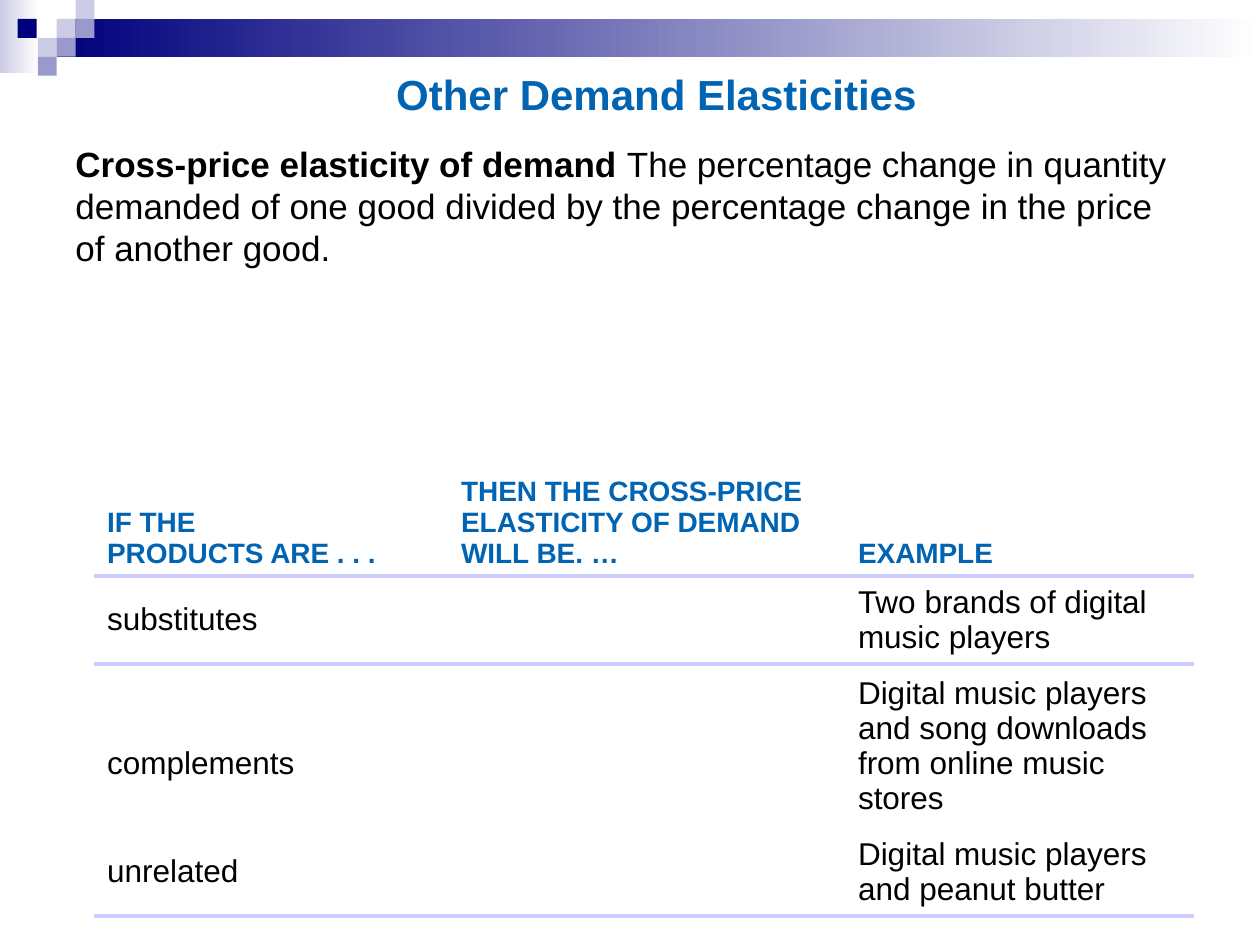
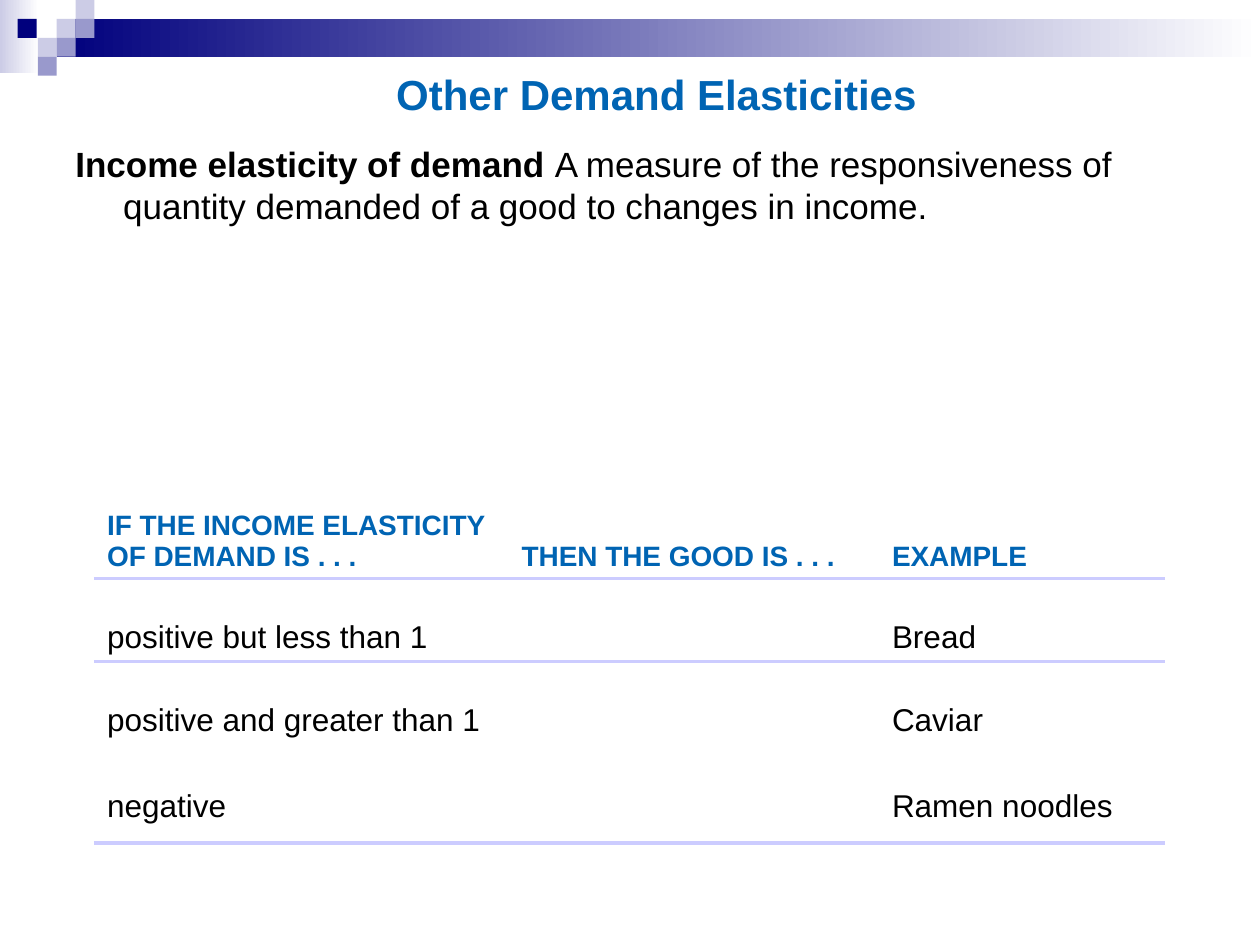
"""Build two slides on cross-price and income elasticity of demand."""
from pptx import Presentation
from pptx.dml.color import RGBColor
from pptx.enum.shapes import MSO_SHAPE as Shape
from pptx.enum.text import MSO_ANCHOR as Anchor, MSO_AUTO_SIZE as AutoSize, PP_ALIGN as Align
from pptx.oxml import parse_xml
from pptx.oxml.ns import nsdecls
from pptx.util import Inches, Pt

FONT = "Arial"
BLUE = RGBColor(0x00, 0x64, 0xB3)
BLACK = RGBColor(0x00, 0x00, 0x00)
WHITE = RGBColor(0xFF, 0xFF, 0xFF)
NAVY = RGBColor(0x00, 0x00, 0x7D)
LAVENDER = RGBColor(0xCC, 0xCC, 0xE6)
VIOLET = RGBColor(0x99, 0x99, 0xCC)
RULE = RGBColor(0xCC, 0xCC, 0xFF)

TILE = 0.15
TILES = [(0.45, 0.15, LAVENDER), (0.6, 0, LAVENDER), (0.6, 0.15, VIOLET),
         (0.3, 0.3, LAVENDER), (0.14, 0.15, NAVY), (0.45, 0.3, VIOLET),
         (0.3, 0.45, VIOLET)]


def write(para, text, size=18, color=BLACK, bold=False):
    """Add formatted text to a paragraph, with a line break at each newline."""
    for index, line in enumerate(text.split("\n")):
        if index:
            para.add_line_break()
        span = para.add_run()
        span.text = line
        span.font.name, span.font.size = FONT, Pt(size)
        span.font.color.rgb, span.font.bold = color, bold


def add_rect(slide, left, top, width, height, color, fade=False):
    """Add a borderless rectangle, plain or fading to white on the right."""
    rect = slide.shapes.add_shape(Shape.RECTANGLE, Inches(left), Inches(top),
                                  Inches(width), Inches(height))
    rect.shadow.inherit = False
    rect.line.fill.background()
    if fade:
        rect.fill.gradient()
        rect.fill.gradient_angle = 0
        for stop, shade, position in zip(rect.fill.gradient_stops, (color, WHITE), (0, 1)):
            stop.color.rgb, stop.position = shade, position
    else:
        rect.fill.solid()
        rect.fill.fore_color.rgb = color
    return rect


def add_band(slide):
    """Draw the top band and tiles and move them to the shared layout."""
    band = [add_rect(slide, 0, 0, 0.31, 0.58, LAVENDER, fade=True),
            add_rect(slide, 0.45, 0.15, 9.55, 0.3, NAVY, fade=True)]
    band += [add_rect(slide, left, top, TILE, TILE, color) for left, top, color in TILES]
    for rect in band:
        slide.slide_layout.shapes.element.append(rect.element)


def add_title(slide, text):
    """Place and fill the title."""
    title = slide.shapes.title
    title.left, title.top = Inches(1.33), Inches(0.33)
    title.width, title.height = Inches(7.76), Inches(0.83)
    frame = title.text_frame
    frame.auto_size = AutoSize.NONE
    frame.vertical_anchor = Anchor.MIDDLE
    frame.paragraphs[0].alignment = Align.CENTER
    write(frame.paragraphs[0], text, size=24, color=BLUE, bold=True)


def add_definition(slide, term, meaning, hanging=0):
    """Add a bold term followed by its meaning."""
    box = slide.shapes.add_textbox(Inches(0.5), Inches(1.08), Inches(9), Inches(5.83))
    box.text_frame.word_wrap = True
    para = box.text_frame.paragraphs[0]
    properties = para._p.get_or_add_pPr()
    properties.set("marL", str(Inches(hanging)))
    properties.set("indent", str(-Inches(hanging)))
    write(para, term + " ", size=20, bold=True)
    write(para, meaning, size=20)


def add_border(cell, side):
    """Draw a rule on the top (T) or bottom (B) side of a cell."""
    border = parse_xml(
        f'<a:ln{side} {nsdecls("a")} w="{Pt(2.25)}"><a:solidFill>'
        f'<a:srgbClr val="{RULE}"/></a:solidFill></a:ln{side}>')
    cell._tc.get_or_add_tcPr().insert(0, border)


def add_ruled_table(slide, top, widths, heights, rows, anchor):
    """Add a table ruled under its heading and last row, and return it."""
    frame = slide.shapes.add_table(len(rows), len(widths), Inches(0.75), Inches(top),
                                   Inches(sum(widths)), Inches(sum(heights)))
    table = frame.table
    table.first_row = table.horz_banding = False
    for column, width in zip(table.columns, widths):
        column.width = Inches(width)
    for number, (height, texts) in enumerate(zip(heights, rows)):
        table.rows[number].height = Inches(height)
        for cell, text in zip(table.rows[number].cells, texts):
            cell.fill.background()
            cell.vertical_anchor = anchor if number else Anchor.BOTTOM
            if text and number:
                write(cell.text_frame.paragraphs[0], text)
            elif text:
                write(cell.text_frame.paragraphs[0], text, size=16, color=BLUE, bold=True)
            if number == 1:
                add_border(cell, "T")
            if number in (0, len(rows) - 1):
                add_border(cell, "B")
    return table


def add_elasticity_slide(deck):
    """Add a title-only slide with the common title."""
    slide = deck.slides.add_slide(deck.slide_layouts[5])
    add_title(slide, "Other Demand Elasticities")
    return slide


def add_cross_price(deck):
    """Add the cross-price elasticity slide."""
    slide = add_elasticity_slide(deck)
    add_definition(slide, "Cross-price elasticity of demand",
                   "The percentage change in quantity demanded of one good divided by "
                   "the percentage change in the price of another good.")
    rows = [("IF THE\nPRODUCTS ARE . . .",
             "THEN THE CROSS-PRICE ELASTICITY OF DEMAND WILL BE. …", "EXAMPLE"),
            ("substitutes", "", "Two brands of digital music players"),
            ("complements", "",
             "Digital music players and song downloads from online music stores"),
            ("unrelated", "", "Digital music players and peanut butter")]
    table = add_ruled_table(slide, 3.67, [2.81, 3.15, 2.76], [0.84, 0.66, 1.22, 0.66],
                            rows, Anchor.MIDDLE)
    table.cell(2, 0).margin_top = Inches(0.33)
    return slide


def add_income(deck):
    """Add the income elasticity slide."""
    slide = add_elasticity_slide(deck)
    add_definition(slide, "Income elasticity of demand",
                   "A measure of the responsiveness of quantity demanded of a good to "
                   "changes in income.", hanging=0.38)
    rows = [("IF THE INCOME ELASTICITY\nOF DEMAND IS . . .", "THEN THE GOOD IS . . .",
             "EXAMPLE"),
            ("positive but less than 1", "", "Bread"),
            ("positive and greater than 1", "", "Caviar"),
            ("negative", "", "Ramen noodles")]
    table = add_ruled_table(slide, 3.75, [3.29, 2.94, 2.26], [0.84, 0.66, 0.66, 0.78],
                            rows, Anchor.BOTTOM)
    for cell in table.rows[3].cells:
        cell.margin_bottom = Inches(0.15)


def main():
    """Build and save the deck."""
    deck = Presentation()
    deck.slide_width, deck.slide_height = Inches(10), Inches(7.5)
    add_band(add_cross_price(deck))
    add_income(deck)
    deck.save("out.pptx")


if __name__ == "__main__":
    main()
